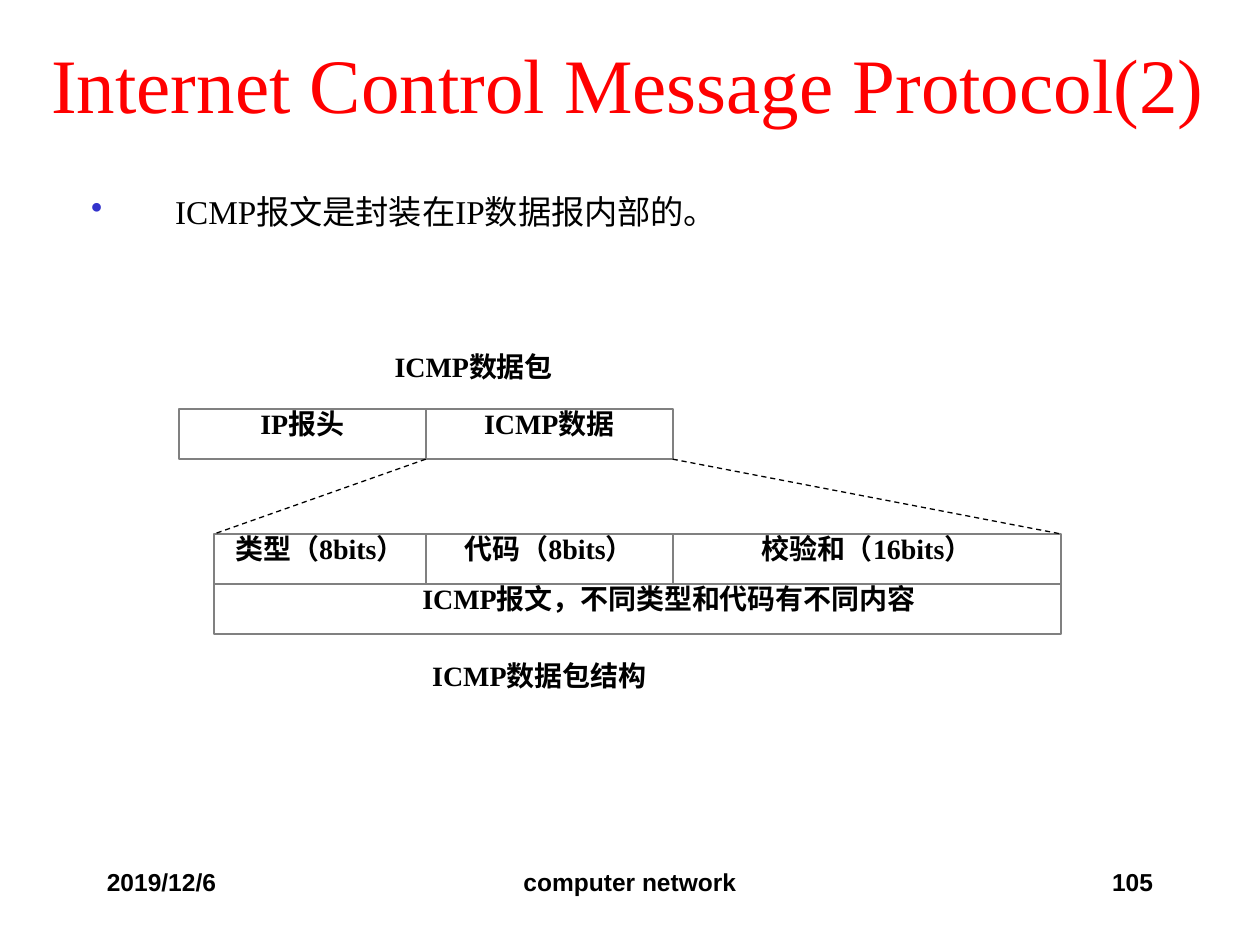
from dataclasses import dataclass

from lxml import etree
from pptx import Presentation
from pptx.dml.color import RGBColor
from pptx.enum import dml, shapes, text
from pptx.oxml import ns
from pptx.util import Pt


@dataclass(frozen=True)
class Theme:
    serif: str = "Times New Roman"
    sans: str = "Arial"
    ink: str = "000000"
    paper: str = "FFFFFF"
    heading: str = "FF0000"
    bullet: str = "3333CC"
    border: str = "808080"
    heading_size: float = 44
    body_size: float = 19
    field_size: float = 16
    footer_size: float = 14


@dataclass(frozen=True)
class Field:
    label: str
    left: float
    top: float
    right: float
    border: float = 0
    indent: float = 0


@dataclass(frozen=True)
class Footer:
    label: str
    left: float
    width: float
    align: text.PP_ALIGN


THEME = Theme()
ROW = 28.6
PACKET_LEFT, MESSAGE_LEFT = 102.2, 122.4
DATA_LEFT, DATA_RIGHT, MESSAGE_RIGHT = 243.3, 384.4, 606.2
PACKET_TOP, MESSAGE_TOP = 233.8, 305.1

FIELDS = [
    Field("ICMP数据包结构", PACKET_LEFT, 377.3, 514.1),
    Field("IP报头", PACKET_LEFT, PACKET_TOP, DATA_LEFT, 1.25),
    Field("ICMP数据包", 151.9, 200.9, 353.5, indent=36),
    Field("类型（8bits）", MESSAGE_LEFT, MESSAGE_TOP, DATA_LEFT, 1.25),
    Field("代码（8bits）", DATA_LEFT, MESSAGE_TOP, DATA_RIGHT, 1.25),
    Field("ICMP报文，不同类型和代码有不同内容", MESSAGE_LEFT,
          MESSAGE_TOP + ROW, MESSAGE_RIGHT, 1, 36),
    Field("ICMP数据", DATA_LEFT, PACKET_TOP, DATA_RIGHT, 1.25),
    Field("校验和（16bits）", DATA_RIGHT, MESSAGE_TOP, MESSAGE_RIGHT, 1.25),
]
FOOTERS = [
    Footer("2019/12/6", 54, 150, text.PP_ALIGN.LEFT),
    Footer("computer network", 246, 228, text.PP_ALIGN.CENTER),
    Footer("105", 516, 150, text.PP_ALIGN.RIGHT),
]
EXPANSIONS = [(DATA_LEFT, MESSAGE_LEFT), (DATA_RIGHT, MESSAGE_RIGHT)]


def style(paragraph, face: str, size: float, color: str, bold: bool = False) -> None:
    for run in paragraph.runs:
        run.font.name = face
        run.font.size = Pt(size)
        run.font.bold = bold
        run.font.color.rgb = RGBColor.from_string(color)


def draw_title(slide, heading: str) -> None:
    title = slide.shapes.title
    title.left, title.top, title.width, title.height = Pt(20.2), Pt(23.8), Pt(677.5), Pt(53.3)
    frame = title.text_frame
    frame.text = heading
    frame.word_wrap = True
    frame.auto_size = text.MSO_AUTO_SIZE.NONE
    frame.vertical_anchor = text.MSO_ANCHOR.BOTTOM
    frame.paragraphs[0].alignment = text.PP_ALIGN.CENTER
    style(frame.paragraphs[0], THEME.serif, THEME.heading_size, THEME.heading)


def draw_bullet(slide, statement: str) -> None:
    frame = slide.shapes.add_textbox(Pt(45), Pt(106), Pt(630), Pt(73.4)).text_frame
    frame.word_wrap = True
    frame.text = statement
    paragraph = frame.paragraphs[0]
    properties = paragraph._p.get_or_add_pPr()
    properties.set("marL", str(Pt(48)))
    properties.set("indent", str(Pt(-48)))
    color = etree.SubElement(properties, ns.qn("a:buClr"))
    etree.SubElement(color, ns.qn("a:srgbClr"), val=THEME.bullet)
    etree.SubElement(properties, ns.qn("a:buChar"), char="•")
    style(paragraph, THEME.serif, THEME.body_size, THEME.ink)


def draw_field(slide, field: Field) -> None:
    box = slide.shapes.add_shape(
        shapes.MSO_SHAPE.RECTANGLE, Pt(field.left), Pt(field.top),
        Pt(field.right - field.left), Pt(ROW))
    box.shadow.inherit = False
    box.fill.solid()
    box.fill.fore_color.rgb = RGBColor.from_string(THEME.paper)
    if field.border:
        box.line.color.rgb = RGBColor.from_string(THEME.border)
        box.line.width = Pt(field.border)
    else:
        box.line.fill.background()
    frame = box.text_frame
    frame.margin_left = frame.margin_top = frame.margin_right = frame.margin_bottom = 0
    frame.word_wrap = True
    frame.vertical_anchor = text.MSO_ANCHOR.TOP
    frame.text = field.label
    paragraph = frame.paragraphs[0]
    paragraph.alignment = text.PP_ALIGN.CENTER
    paragraph.line_spacing = 0.96
    if field.indent:
        paragraph.level = 1
        paragraph._p.get_or_add_pPr().set("marL", str(Pt(field.indent)))
    style(paragraph, THEME.serif, THEME.field_size, THEME.ink, True)


def draw_expansion(slide, start: float, end: float) -> None:
    edge = slide.shapes.add_connector(
        shapes.MSO_CONNECTOR.STRAIGHT, Pt(start), Pt(PACKET_TOP + ROW),
        Pt(end), Pt(MESSAGE_TOP))
    edge.line.color.rgb = RGBColor.from_string(THEME.ink)
    edge.line.width = Pt(0.75)
    edge.line.dash_style = dml.MSO_LINE.DASH
    etree.SubElement(edge._element.spPr, ns.qn("a:effectLst"))


def draw_footer(slide, footer: Footer) -> None:
    frame = slide.shapes.add_textbox(
        Pt(footer.left), Pt(492), Pt(footer.width), Pt(36)).text_frame
    frame.word_wrap = True
    frame.text = footer.label
    frame.paragraphs[0].alignment = footer.align
    style(frame.paragraphs[0], THEME.sans, THEME.footer_size, THEME.ink, True)


def main() -> None:
    deck = Presentation()
    deck.slide_width, deck.slide_height = Pt(720), Pt(540)
    slide = deck.slides.add_slide(deck.slide_layouts.get_by_name("Title Only"))
    for footer in FOOTERS:
        draw_footer(slide, footer)
    draw_title(slide, "Internet Control Message Protocol(2)")
    draw_bullet(slide, "ICMP报文是封装在IP数据报内部的。")
    for field in FIELDS:
        draw_field(slide, field)
    for start, end in EXPANSIONS:
        draw_expansion(slide, start, end)
    deck.save("out.pptx")


if __name__ == "__main__":
    main()
